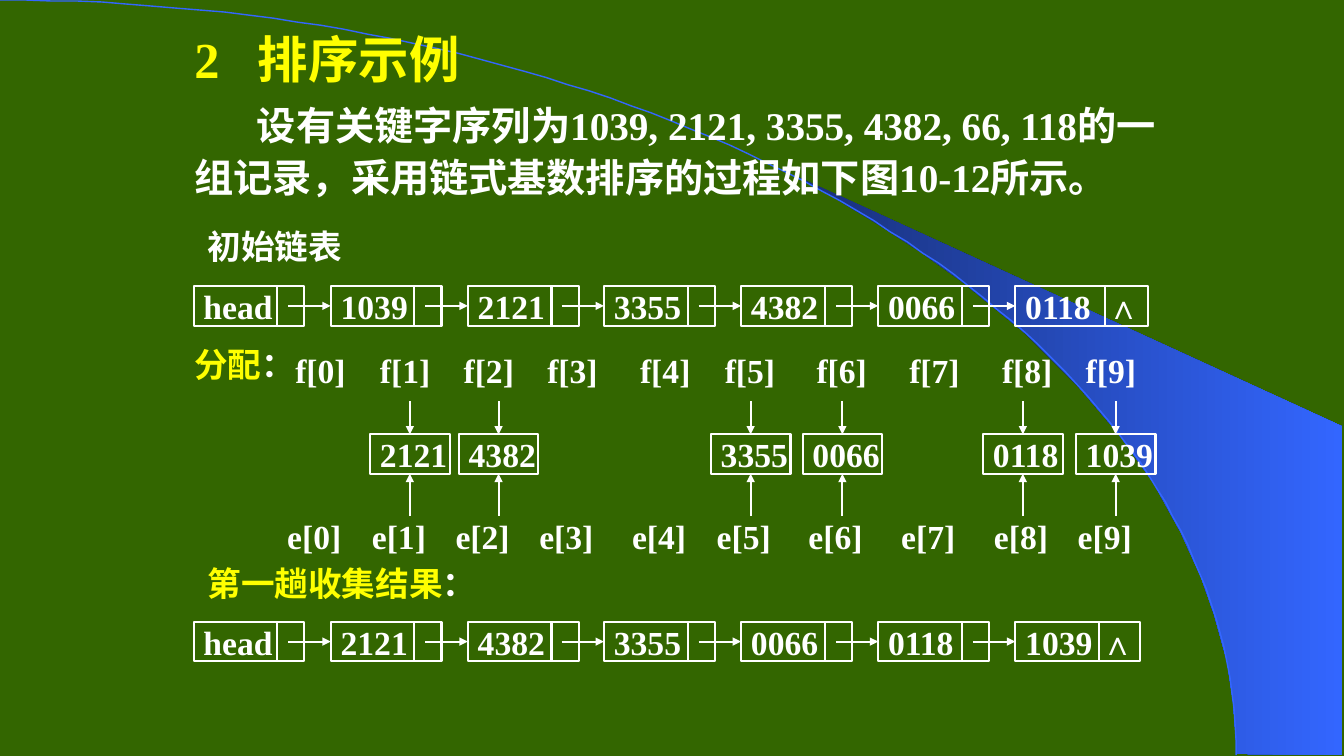
"""Build the radix sort example slide: key list, distribution and first collection."""
from lxml import etree
from pptx import Presentation, util as u
from pptx.dml.color import RGBColor
from pptx.enum import shapes, text
from pptx.oxml import ns

PX = 9144
GREEN = RGBColor(0x33, 0x66, 0x00)
NAVY = RGBColor(0x18, 0x2F, 0x76)
BLUE = RGBColor(0x33, 0x66, 0xFF)
YELLOW = RGBColor(0xFF, 0xFF, 0x00)
WHITE = RGBColor(0xFF, 0xFF, 0xFF)
FONT = {"name": "Times New Roman", "bold": True}
LABEL_FRAME = {"word_wrap": False, "vertical_anchor": text.MSO_ANCHOR.MIDDLE}
CELL_HEIGHT = 39


def write(paragraph, runs, size=24, tab=None):
    """Fill a paragraph with coloured runs and an optional tab stop."""
    paragraph.alignment = text.PP_ALIGN.LEFT
    if tab:
        stops = etree.SubElement(paragraph._p.get_or_add_pPr(), ns.qn("a:tabLst"))
        etree.SubElement(stops, ns.qn("a:tab"), pos=str(tab * PX), algn="l")
    for words, color in runs:
        run = paragraph.add_run()
        run.text = words
        for name, value in {**FONT, "size": u.Pt(size)}.items():
            setattr(run.font, name, value)
        run.font.color.rgb = color
        east_asian = etree.SubElement(run._r.get_or_add_rPr(), ns.qn("a:ea"))
        east_asian.set("typeface", "Noto Sans CJK SC")


def draw_line(x1, y1, x2, y2, target=None, side=0):
    """Draw a white line, with an arrowhead when it joins a target."""
    ends = [round(value * PX) for value in (x1, y1, x2, y2)]
    line = slide.shapes.add_connector(shapes.MSO_CONNECTOR.STRAIGHT, *ends)
    line.line.color.rgb = WHITE
    line.line.width = u.Pt(1.5)
    if target is not None:
        line.end_connect(target, side)
        etree.SubElement(line.line._get_or_add_ln(), ns.qn("a:tailEnd"), type="triangle")
    etree.SubElement(line._element.spPr, ns.qn("a:effectLst"))


presentation = Presentation()
presentation.slide_width = 1333 * PX
presentation.slide_height = 750 * PX
slide = presentation.slides.add_slide(presentation.slide_layouts[6])
slide.background.fill.solid()
slide.background.fill.fore_color.rgb = GREEN

wedge_points = [
    (1227, 748), (1331, 749), (1331, 423), (786, 173), (832, 199), (870, 222),
    (913, 250), (955, 280), (1016, 330), (1070, 384), (1110, 431), (1144, 479),
    (1171, 528), (1191, 572), (1204, 609), (1217, 656), (1223, 696),
]
builder = slide.shapes.build_freeform(*wedge_points[0], scale=PX)
builder.add_line_segments(wedge_points[1:], close=True)
wedge = builder.convert_to_shape()
wedge.shadow.inherit = False
wedge.fill.gradient()
wedge.fill.gradient_angle = 0
for stop, color in zip(wedge.fill.gradient_stops, (NAVY, BLUE)):
    stop.color.rgb = color
wedge.line.fill.background()

arc_points = []
for step in range(1, 81):
    t = step / 80
    rest = 1 - t
    x = 3 * rest**2 * t * 677 + 3 * rest * t**2 * 1226 + t**3 * 1226
    y = 3 * rest * t**2 * 335 + t**3 * 749
    arc_points.append((x, y))
builder = slide.shapes.build_freeform(0, 0, scale=PX)
builder.add_line_segments(arc_points, close=False)
arc = builder.convert_to_shape()
arc.shadow.inherit = False
arc.fill.background()
arc.line.color.rgb = BLUE
arc.line.width = u.Pt(1)

body = slide.shapes.add_textbox(183 * PX, 17 * PX, 975 * PX, 193 * PX).text_frame
body.word_wrap = True
heading = body.paragraphs[0]
intro = body.add_paragraph()
write(heading, [("2\t排序示例", YELLOW)], 36, tab=63)
write(intro, [("设有关键字序列为1039, 2121, 3355, 4382, 66, 118的一组记录，"
               "采用链式基数排序的过程如下图10-12所示。", WHITE)], 28)
intro._p.get_or_add_pPr().set("indent", str(62 * PX))
for paragraph, space in ((heading, 7), (intro, 6)):
    paragraph.line_spacing = 1.1
    paragraph.space_before = u.Pt(space)

labels = [
    (196, 225, 180, [("初始链表", WHITE)]),
    (183, 342, 94, [("分配", YELLOW), ("：", WHITE)]),
    (196, 559, 268, [("第一趟收集结果", YELLOW), ("：", WHITE)]),
]
for digit, left in enumerate((283, 367, 450, 533, 625, 709, 800, 892, 984, 1067)):
    labels.append((left, 348, 75, [(f"f[{digit}]", WHITE)]))
    labels.append((left - 8, 512, 75, [(f"e[{digit}]", WHITE)]))
for left, top, width, runs in labels:
    label = slide.shapes.add_textbox(left * PX, top * PX, width * PX, CELL_HEIGHT * PX)
    for name, value in LABEL_FRAME.items():
        setattr(label.text_frame, name, value)
    write(label.text_frame.paragraphs[0], runs)

chains = [
    (284, 132, 89, ["head", "1039", "2121", "3355", "4382", "0066", "0118\t∧"]),
    (617, 124, 83, ["head", "2121", "4382", "3355", "0066", "0118", "1039 ∧"]),
]
buckets = [(367, "2121"), (455, "4382"), (705, "3355"),
           (796, "0066"), (975, "0118"), (1067, "1039")]
cells = [(left, 431, 79, None, key) for left, key in buckets]
for top, last_width, last_divider, keys in chains:
    for index, key in enumerate(keys):
        last = index == len(keys) - 1
        cells.append((round(192 + 135.8 * index), top, last_width if last else 110,
                      last_divider if last else 83, key))

for left, top, width, divider, key in cells:
    cell = slide.shapes.add_shape(shapes.MSO_SHAPE.RECTANGLE, left * PX, top * PX,
                                  width * PX, CELL_HEIGHT * PX)
    cell.shadow.inherit = False
    cell.fill.background()
    cell.line.color.rgb = WHITE
    cell.line.width = u.Pt(1.5)
    for name, value in LABEL_FRAME.items():
        setattr(cell.text_frame, name, value)
    write(cell.text_frame.paragraphs[0], [(key, WHITE)], tab=81 if "\t" in key else None)
    center = left + width / 2
    middle = top + CELL_HEIGHT / 2
    if divider is None:
        draw_line(center, 398, center, top, cell, 0)
        draw_line(center, 512, center, top + CELL_HEIGHT, cell, 2)
    else:
        draw_line(left + divider, top, left + divider, top + CELL_HEIGHT)
        if key != "head":
            draw_line(left - 42, middle, left, middle, cell, 1)

presentation.save("out.pptx")
